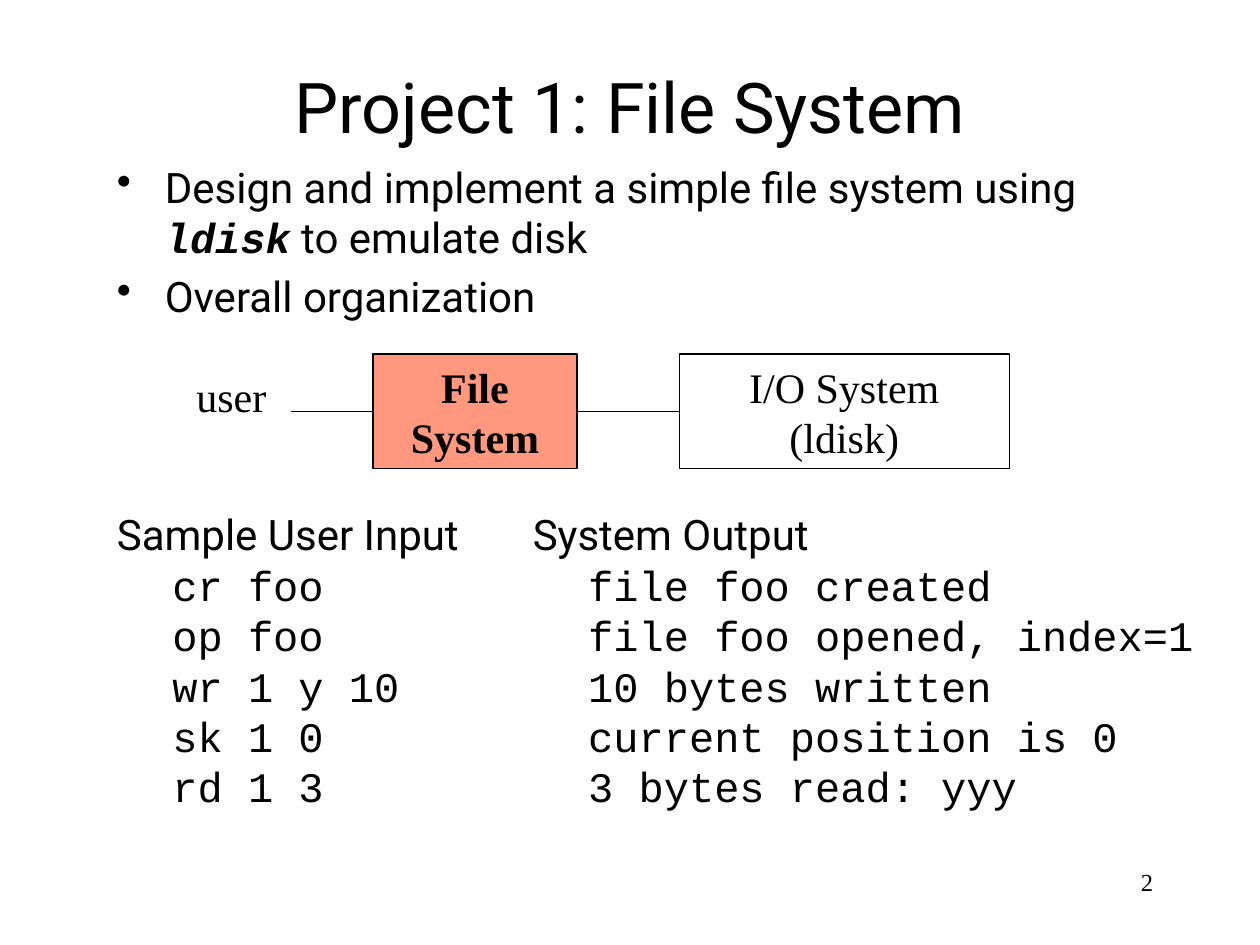
"""Build the slide introducing the file system project."""
from dataclasses import dataclass
from typing import NamedTuple, Optional

from lxml.etree import SubElement
from pptx import Presentation
from pptx.dml.color import RGBColor
from pptx.enum.shapes import MSO_CONNECTOR, MSO_SHAPE
from pptx.enum.text import MSO_ANCHOR, MSO_AUTO_SIZE, PP_ALIGN
from pptx.oxml.ns import qn
from pptx.util import Inches, Pt


@dataclass(frozen=True)
class Theme:
    """Colours, fonts and type sizes of the slide."""
    ink: RGBColor = RGBColor(0x00, 0x00, 0x00)
    accent: RGBColor = RGBColor(0xFF, 0x33, 0x00)
    accent_opacity: int = 50
    sans: str = "Roboto"
    serif: str = "Times New Roman"
    mono: str = "Courier New"
    title_size: float = 40
    body_size: float = 24
    number_size: float = 14
    line_width: float = 0.75
    space_before: float = 4.8


THEME = Theme()


class Area(NamedTuple):
    """Left, top, width and height in inches."""
    left: float
    top: float
    width: float
    height: float

    def lengths(self) -> list:
        """Return the four values as lengths."""
        return [Inches(value) for value in self]


class Run(NamedTuple):
    """A stretch of text with its own emphasis."""
    text: str
    font: Optional[str] = None
    strong: bool = False


class Component(NamedTuple):
    """A box of the organization diagram."""
    lines: list
    left: float
    width: float
    highlighted: bool = False


class Listing(NamedTuple):
    """A heading with lines of code below it."""
    heading: str
    lines: list
    area: Area


BOX_TOP, BOX_HEIGHT = 2.81, 0.91
USER_AREA = Area(1.46, 2.89, 0.85, 0.74)
COMPONENTS = [
    Component(["File", "System"], 2.96, 1.62, highlighted=True),
    Component(["I/O System", "(ldisk)"], 5.39, 2.62),
]
GOALS = [
    [Run("Design and implement a simple file system using "),
     Run("ldisk", THEME.mono, strong=True), Run(" to emulate disk")],
    [Run("Overall organization")],
]
LISTINGS = [
    Listing("Sample User Input",
            ["cr foo", "op foo", "wr 1 y 10", "sk 1 0", "rd 1 3"],
            Area(0.83, 3.99, 3.54, 3.07)),
    Listing("System Output",
            ["file foo created", "file foo opened, index=1", "10 bytes written",
             "current position is 0", "3 bytes read: yyy"],
            Area(4.13, 3.99, 5.81, 2.91)),
]


def write(frame, paragraphs: list, *, font: str = THEME.sans,
          size: float = THEME.body_size, bold: bool = False,
          align=PP_ALIGN.LEFT, anchor=MSO_ANCHOR.TOP, wrap: bool = True,
          before: float = 0, indent: float = 0, bullet: str = "",
          append: bool = False) -> None:
    """Write paragraphs, each a string or a list of runs, into a text frame."""
    frame.word_wrap = wrap
    frame.auto_size = MSO_AUTO_SIZE.NONE
    frame.vertical_anchor = anchor
    for index, content in enumerate(paragraphs):
        paragraph = frame.add_paragraph() if append or index else frame.paragraphs[0]
        paragraph.alignment = align
        paragraph.space_before = Pt(before)
        properties = paragraph._p.get_or_add_pPr()
        properties.set("marL", str(Inches(indent)))
        properties.set("indent", str(Inches(-indent if bullet else 0)))
        if bullet:
            SubElement(properties, qn("a:buChar")).set("char", bullet)
        for part in [Run(content)] if isinstance(content, str) else content:
            run = paragraph.add_run()
            run.text = part.text
            run.font.name = part.font or font
            run.font.size = Pt(size)
            run.font.bold = bold or part.strong
            run.font.italic = part.strong
            run.font.color.rgb = THEME.ink


def add_text(shapes, area: Area, paragraphs: list, **style):
    """Add a text box and return its text frame."""
    frame = shapes.add_textbox(*area.lengths()).text_frame
    write(frame, paragraphs, **style)
    return frame


def add_component(shapes, component: Component) -> None:
    """Draw one box of the diagram."""
    area = Area(component.left, BOX_TOP, component.width, BOX_HEIGHT)
    box = shapes.add_shape(MSO_SHAPE.RECTANGLE, *area.lengths())
    box.shadow.inherit = False
    box.line.color.rgb = THEME.ink
    box.line.width = Pt(THEME.line_width)
    if component.highlighted:
        box.fill.solid()
        box.fill.fore_color.rgb = THEME.accent
        color = box._element.spPr.find(qn("a:solidFill")).find(qn("a:srgbClr"))
        SubElement(color, qn("a:alpha")).set("val", str(THEME.accent_opacity * 1000))
    else:
        box.fill.background()
    write(box.text_frame, component.lines, font=THEME.serif,
          bold=component.highlighted, align=PP_ALIGN.CENTER,
          anchor=MSO_ANCHOR.MIDDLE)


def add_link(shapes, start: float, end: float) -> None:
    """Draw a horizontal line at the middle height of the boxes."""
    middle = Inches(BOX_TOP + BOX_HEIGHT / 2)
    link = shapes.add_connector(MSO_CONNECTOR.STRAIGHT, Inches(start), middle,
                                Inches(end), middle)
    link.line.color.rgb = THEME.ink
    link.line.width = Pt(THEME.line_width)
    SubElement(link._element.spPr, qn("a:effectLst"))


def add_organization(slide) -> None:
    """Draw the chain from the user through the components."""
    shapes = slide.shapes.add_group_shape().shapes
    add_text(shapes, USER_AREA, ["user"], font=THEME.serif, wrap=False)
    chain_end = USER_AREA.left + USER_AREA.width
    for component in COMPONENTS:
        add_component(shapes, component)
        add_link(shapes, chain_end, component.left)
        chain_end = component.left + component.width


def add_listing(slide, listing: Listing) -> None:
    """Add a heading and its indented code lines."""
    frame = add_text(slide.shapes, listing.area, [listing.heading],
                     before=THEME.space_before)
    write(frame, listing.lines, font=THEME.mono, indent=0.44, append=True)


def main() -> None:
    """Build and save the presentation."""
    presentation = Presentation()
    presentation.slide_width, presentation.slide_height = Inches(10), Inches(7.5)
    slide = presentation.slides.add_slide(presentation.slide_layouts[5])
    title = slide.shapes.title
    title.left, title.top, title.width, title.height = Area(0.75, 0.42, 8.5, 0.83).lengths()
    write(title.text_frame, ["Project 1: File System"], size=THEME.title_size,
          align=PP_ALIGN.CENTER, anchor=MSO_ANCHOR.MIDDLE)
    add_text(slide.shapes, Area(0.83, 1.23, 8.5, 1.42), GOALS,
             before=THEME.space_before, indent=0.38, bullet="•")
    add_organization(slide)
    for listing in LISTINGS:
        add_listing(slide, listing)
    add_text(slide.shapes, Area(7.17, 6.83, 2.08, 0.5), ["2"], font=THEME.serif,
             size=THEME.number_size, align=PP_ALIGN.RIGHT)
    presentation.save("out.pptx")


if __name__ == "__main__":
    main()
